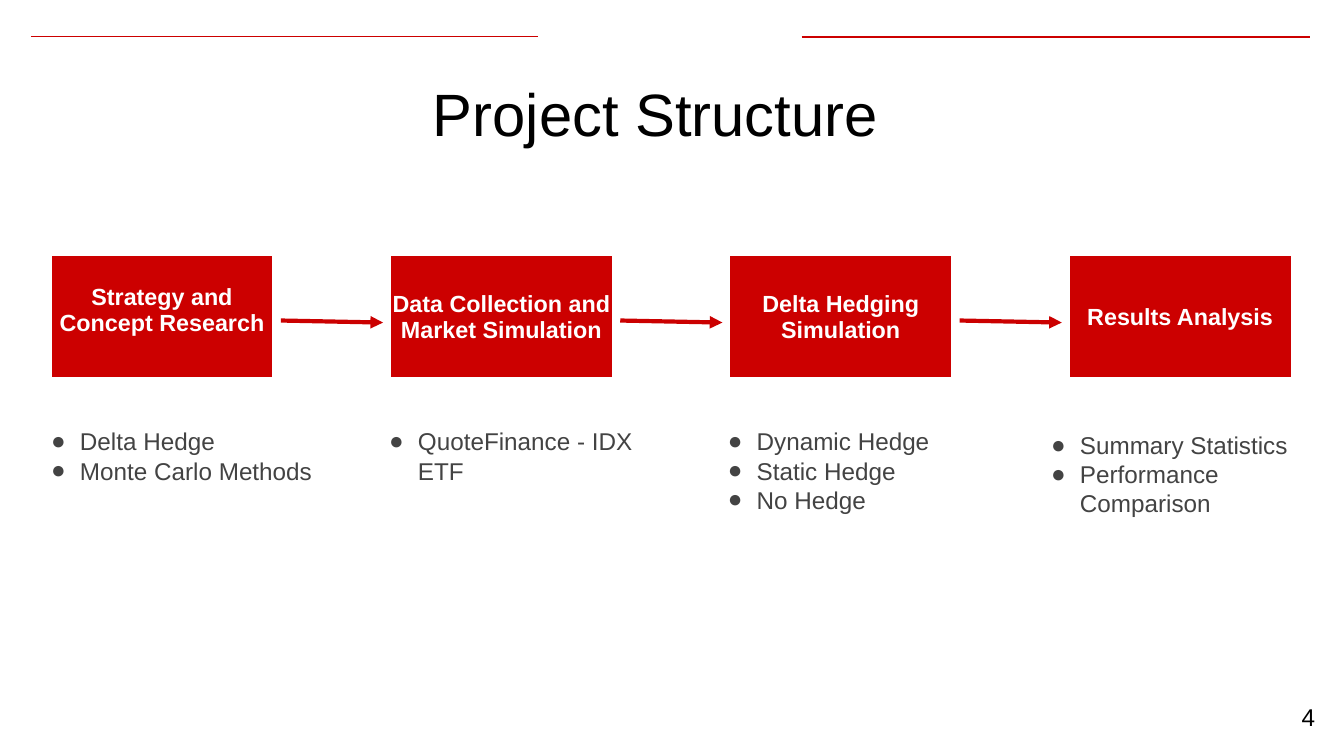
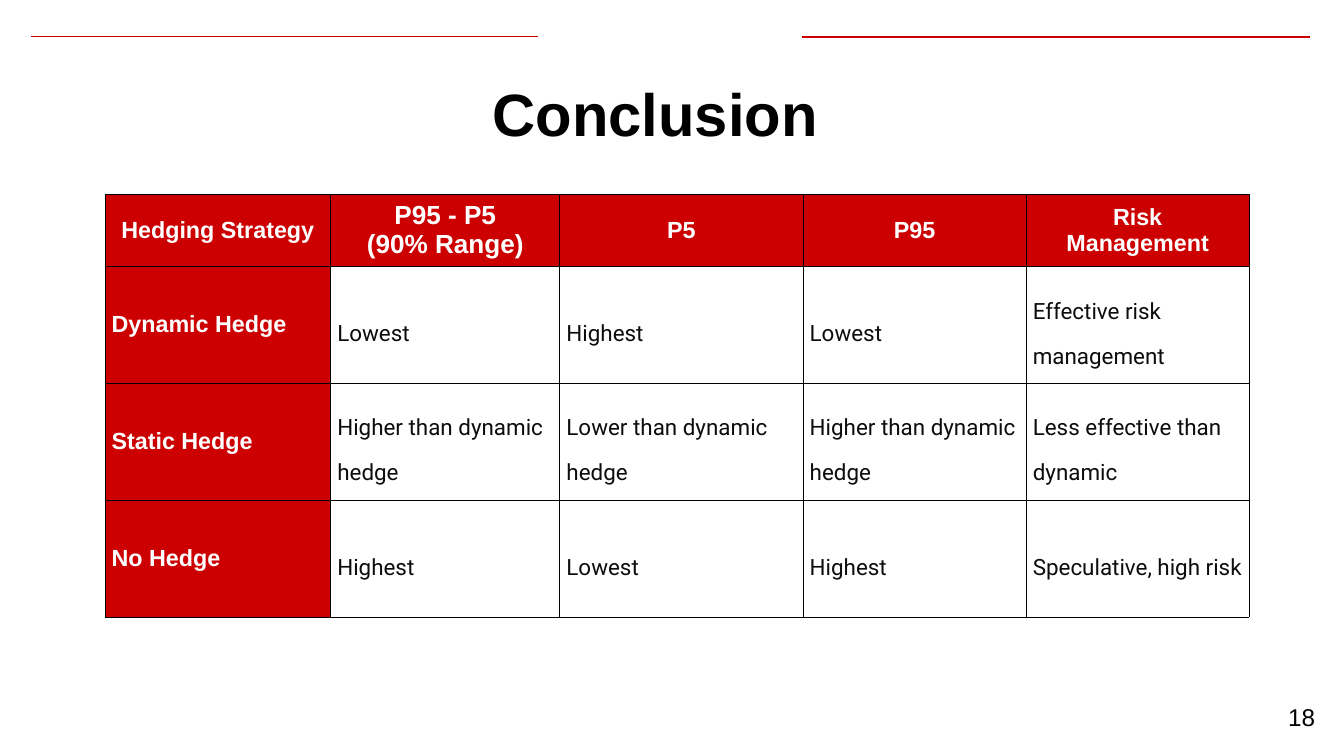
import dataclasses

import lxml.etree
import pptx
import pptx.dml.color
import pptx.enum.shapes
import pptx.enum.text
import pptx.oxml.ns
import pptx.util

Inches = pptx.util.Inches
Pt = pptx.util.Pt
Align = pptx.enum.text.PP_ALIGN
Anchor = pptx.enum.text.MSO_ANCHOR


@dataclasses.dataclass(frozen=True)
class Theme:
    red: str = "CC0000"
    arrow: str = "CB0000"
    white: str = "FFFFFF"
    black: str = "000000"
    gray: str = "434343"
    ink: str = "0D0D0D"
    font: str = "Arial"
    cell_font: str = "Roboto"
    title: int = 64
    list: int = 26
    label: int = 25
    wide: int = 28
    cell: int = 24


def rgb(code):
    return pptx.dml.color.RGBColor.from_string(code)


def apply(target, values):
    for name, value in values.items():
        setattr(target, name, value)


def node(parent, tag, **values):
    """Append a drawing element with its attributes."""
    child = lxml.etree.SubElement(parent, pptx.oxml.ns.qn("a:" + tag))
    for name, value in values.items():
        child.set(name, str(value))
    return child


def tint(parent, code):
    node(node(parent, "solidFill"), "srgbClr", val=code)


class Deck:
    def __init__(self, theme):
        self.theme = theme
        self.show = pptx.Presentation()
        apply(self.show, {"slide_width": Inches(20), "slide_height": Inches(11.25)})
        self.slide = None

    def page(self, layout, title, number, bold=False):
        self.slide = self.show.slides.add_slide(self.show.slide_layouts[layout])
        look = self.theme
        head = self.slide.shapes.title
        self.place(head, 0.43, 0.94, 18.64, 1.37)
        self.text(head.text_frame, [title], look.title, look.black, inset=0.2,
                  align=Align.CENTER, bold=bold)
        box = self.slide.shapes.add_textbox(
            Inches(18.57), Inches(10.24), Inches(1.2), Inches(0.86))
        self.text(box.text_frame, [number], look.list, look.black, inset=0.2,
                  align=Align.RIGHT, anchor=Anchor.MIDDLE)

    def place(self, shape, *spot):
        names = ("left", "top", "width", "height")
        apply(shape, dict(zip(names, map(Inches, spot))))

    def inset(self, target, *sides):
        """Set the left, top, right and bottom margins."""
        names = ("margin_left", "margin_top", "margin_right", "margin_bottom")
        apply(target, dict(zip(names, map(Inches, sides))))

    def text(self, frame, lines, size, color, inset=None, anchor=Anchor.TOP,
             align=Align.LEFT, bold=False, font=None, space=1.0):
        if inset is not None:
            self.inset(frame, *[inset] * 4)
            apply(frame, {"word_wrap": True, "vertical_anchor": anchor,
                          "auto_size": pptx.enum.text.MSO_AUTO_SIZE.NONE})
        frame.text = "\n".join(lines)
        for para in frame.paragraphs:
            apply(para, {"alignment": align, "line_spacing": space,
                         "space_before": Pt(0), "space_after": Pt(0)})
            for run in para.runs:
                apply(run.font, {"size": Pt(size), "bold": bold,
                                 "name": font or self.theme.font})
                run.font.color.rgb = rgb(color)

    def list(self, index, left, top, items):
        look = self.theme
        shape = self.slide.placeholders[index]
        self.place(shape, left, top, 4.2, 2.44)
        self.text(shape.text_frame, items, look.list, look.gray, inset=0.1)
        for para in shape.text_frame.paragraphs:
            props = para._p.get_or_add_pPr()
            props.set("marL", str(Inches(0.5)))
            props.set("indent", str(Inches(-0.43)))
            node(node(props, "buClr"), "srgbClr", val=look.gray)
            node(props, "buFont", typeface=look.font)
            node(props, "buChar", char="●")

    def line(self, start, end, color, width, arrow=False):
        ends = [Inches(value) for value in (*start, *end)]
        shape = self.slide.shapes.add_connector(
            pptx.enum.shapes.MSO_CONNECTOR.STRAIGHT, *ends)
        shape.line.color.rgb = rgb(color)
        shape.line.width = Pt(width)
        props = shape.element.spPr
        if arrow:
            node(props.find(pptx.oxml.ns.qn("a:ln")), "tailEnd", type="triangle")
        node(props, "effectLst")
        return shape

    def rules(self):
        """Draw the two top rules and move them to the slide master."""
        tree = self.show.slide_master.shapes.element
        spans = ((0.46, 8.01, 0.54), (11.93, 19.49, 0.55))
        for mark, (left, right, top) in enumerate(spans, 101):
            rule = self.line((left, top), (right, top), self.theme.red, 1.5)
            rule.element.nvCxnSpPr.cNvPr.set("id", str(mark))
            tree.append(rule.element)

    def table(self, left, top, cols, rows):
        frame = self.slide.shapes.add_table(
            len(rows), len(cols), Inches(left), Inches(top),
            Inches(sum(cols)), Inches(sum(rows)))
        grid = frame.table
        apply(grid, {"first_row": False, "horz_banding": False})
        for col, width in zip(grid.columns, cols):
            col.width = Inches(width)
        for row, height in zip(grid.rows, rows):
            row.height = Inches(height)
        return grid

    def cell(self, cell, text, sides, edge, width, fill=None, **style):
        self.inset(cell, *sides)
        cell.vertical_anchor = Anchor.MIDDLE
        props = cell._tc.get_or_add_tcPr()
        for tag in ("lnL", "lnR", "lnT", "lnB"):
            tint(node(props, tag, w=Pt(width)), edge)
        if fill:
            cell.fill.solid()
            cell.fill.fore_color.rgb = rgb(fill)
        else:
            cell.fill.background()
        self.text(cell.text_frame, text.split("\n"), **style)


def project(deck):
    look = deck.theme
    deck.page(4, "Project Structure", "4")
    deck.rules()
    steps = (
        ("Strategy and Concept Research", 0.59, 6.25,
         ["Delta Hedge", "Monte Carlo Methods"]),
        ("Data Collection and Market Simulation", 5.62, 6.25,
         ["QuoteFinance - IDX ETF"]),
        ("Delta Hedging Simulation", 10.66, 6.25,
         ["Dynamic Hedge", "Static Hedge", "No Hedge"]),
        ("Results Analysis", 15.47, 6.3,
         ["Summary Statistics", "Performance Comparison"]),
    )
    pitch = 5.05
    for index, (name, left, top, items) in enumerate(steps):
        shift = index * pitch
        grid = deck.table(0.76 + shift, 3.8, [3.3], [1.82])
        base = 0 if index else 0.2
        deck.cell(grid.cell(0, 0), name, (0.02, 0.02, 0.02, base), look.white, 1,
                  look.red, size=look.label, color=look.white, bold=True,
                  align=Align.CENTER)
        deck.list(index + 1, left, top, items)
        if index < len(steps) - 1:
            deck.line((4.18 + shift, 4.77), (5.7 + shift, 4.8), look.arrow, 4.5,
                      arrow=True)


def outcome(deck):
    look = deck.theme
    deck.page(5, "Conclusion", "18", bold=True)
    rows = (
        ("Hedging Strategy", "P95 - P5\n(90% Range)", "P5", "P95",
         "Risk\nManagement"),
        ("Dynamic Hedge", "Lowest", "Highest", "Lowest",
         "Effective risk management"),
        ("Static Hedge", "Higher than dynamic hedge", "Lower than dynamic hedge",
         "Higher than dynamic hedge", "Less effective than dynamic"),
        ("No Hedge", "Highest", "Lowest", "Highest", "Speculative, high risk"),
    )
    grid = deck.table(1.56, 2.89, [3.36, 3.41, 3.62, 3.32, 3.32],
                      [1.07] + [1.74] * 3)
    label = {"fill": look.red, "size": look.label, "color": look.white,
             "bold": True}
    head = {**label, "align": Align.CENTER}
    body = {"size": look.cell, "color": look.ink, "font": look.cell_font,
            "space": 1.71}
    for y, row in enumerate(rows):
        for x, text in enumerate(row):
            style = head if y == 0 else label if x == 0 else body
            if (y, x) == (0, 1):
                style = {**head, "size": look.wide}
            deck.cell(grid.cell(y, x), text, [0.1] * 4, look.black, 0.75, **style)


def main():
    deck = Deck(Theme())
    project(deck)
    outcome(deck)
    deck.show.save("out.pptx")


if __name__ == "__main__":
    main()
